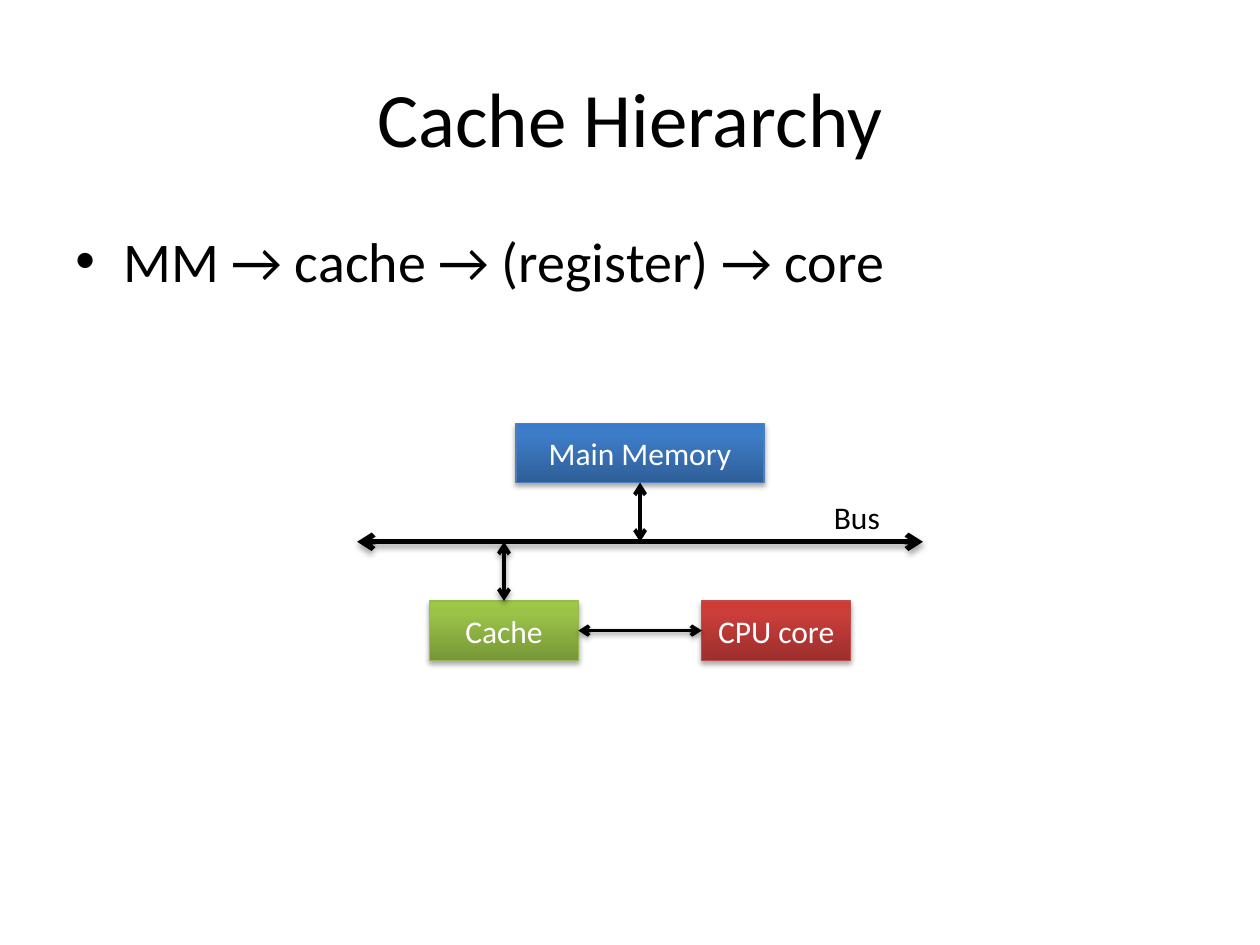
import dataclasses
from typing import Optional

import lxml.etree
import pptx
import pptx.dml.color
import pptx.enum.shapes
import pptx.enum.text
import pptx.oxml
import pptx.oxml.ns
import pptx.util

Inches = pptx.util.Inches
Pt = pptx.util.Pt
Align = pptx.enum.text.PP_ALIGN
Anchor = pptx.enum.text.MSO_ANCHOR
qn = pptx.oxml.ns.qn


@dataclasses.dataclass(frozen=True)
class Theme:
    font: str = "Calibri"
    ink: str = "000000"
    light: str = "FFFFFF"
    title_size: float = 44
    body_size: float = 32
    label_size: float = 18
    blue: tuple = ("2F5F99", "3D7CC7", "3A7CCB", "4B7EBC")
    green: tuple = ("779737", "9BC348", "9DC746", "98B955")
    red: tuple = ("9C2F2D", "CB3E3A", "CE3B37", "BF4C48")


@dataclasses.dataclass(frozen=True)
class Block:
    label: str
    center: float
    row: int
    width: float
    colors: tuple  # three gradient stops, then the outline


@dataclasses.dataclass(frozen=True)
class Arrow:
    start: tuple
    end: tuple
    weight: float
    shadow: Optional[tuple]  # opacity in percent, distance in points


THEME = Theme()
WIDTH, HEIGHT = 10, 7.5

# Diagram grid: columns are hundredths of the slide width, rows are box heights
COLUMN = WIDTH / 100
ROW, TOP = 0.47, 3.36
MEMORY_X, CACHE_X, CORE_X = 50.8, 40, 61.6
SMALL, LARGE, BUS_REACH = 11.8, 19.7, 22.45

BLOCKS = [
    Block("Main Memory", MEMORY_X, 0, LARGE, THEME.blue),
    Block("Cache", CACHE_X, 3, SMALL, THEME.green),
    Block("CPU core", CORE_X, 3, SMALL, THEME.red),
]
BUS = Arrow((MEMORY_X - BUS_REACH, 2), (MEMORY_X + BUS_REACH, 2), 3, (35, 1.8))
LINKS = [
    Arrow((MEMORY_X, 1), (MEMORY_X, 2), 2.25, None),
    Arrow((CACHE_X + SMALL / 2, 3.5), (CORE_X - SMALL / 2, 3.5), 2, (38, 1.6)),
    Arrow((CACHE_X, 3), (CACHE_X, 2), 2.25, (38, 1.6)),
]


def across(columns: float) -> int:
    return Inches(columns * COLUMN)


def down(rows: float) -> int:
    return Inches(TOP + rows * ROW)


def rgb(color: str) -> pptx.dml.color.RGBColor:
    return pptx.dml.color.RGBColor.from_string(color)


def write(shape, text: str, size: float, color: str, align, anchor, wrap: bool = True):
    frame = shape.text_frame
    frame.text = text
    frame.word_wrap = wrap
    frame.vertical_anchor = anchor
    para = frame.paragraphs[0]
    para.alignment = align
    font = para.runs[0].font
    font.name, font.size = THEME.font, Pt(size)
    font.color.rgb = rgb(color)
    return para


def set_shadow(properties, shadow: Optional[tuple]) -> None:
    for old in properties.findall(qn("a:effectLst")):
        properties.remove(old)
    effects = lxml.etree.SubElement(properties, qn("a:effectLst"))
    if shadow:
        opacity, distance = shadow
        outer = lxml.etree.SubElement(
            effects, qn("a:outerShdw"), blurRad=str(Pt(3.1)),
            dist=str(Pt(distance)), dir="5400000", rotWithShape="0")
        color = lxml.etree.SubElement(outer, qn("a:srgbClr"), val=THEME.ink)
        lxml.etree.SubElement(color, qn("a:alpha"), val=str(opacity * 1000))


def draw_block(shapes, block: Block) -> None:
    box = shapes.add_shape(
        pptx.enum.shapes.MSO_SHAPE.RECTANGLE, across(block.center - block.width / 2),
        down(block.row), across(block.width), Inches(ROW))
    box.shadow.inherit = False
    *stops, outline = block.colors
    box.fill.gradient()
    box.fill.gradient_angle = 90
    properties = box._element.spPr
    stop_list = properties.find(qn("a:gradFill")).find(qn("a:gsLst"))
    for old in list(stop_list):
        stop_list.remove(old)
    for position, color in zip((0, 80, 100), stops):
        stop = lxml.etree.SubElement(stop_list, qn("a:gs"), pos=str(position * 1000))
        lxml.etree.SubElement(stop, qn("a:srgbClr"), val=color)
    box.line.color.rgb = rgb(outline)
    box.line.width = Pt(0.75)
    set_shadow(properties, (35, 1.8))
    write(box, block.label, THEME.label_size, THEME.light, Align.CENTER, Anchor.MIDDLE)


def draw_arrow(shapes, arrow: Arrow) -> None:
    (x1, y1), (x2, y2) = arrow.start, arrow.end
    line = shapes.add_connector(
        pptx.enum.shapes.MSO_CONNECTOR.STRAIGHT, across(x1), down(y1), across(x2), down(y2))
    line.line.color.rgb = rgb(THEME.ink)
    line.line.width = Pt(arrow.weight)
    properties = line._element.spPr
    outline = properties.find(qn("a:ln"))
    for end in ("a:headEnd", "a:tailEnd"):
        lxml.etree.SubElement(outline, qn(end), type="arrow")
    set_shadow(properties, arrow.shadow)


def add_text(shapes, left: float, top: float, width: float, height: float):
    return shapes.add_textbox(Inches(left), Inches(top), Inches(width), Inches(height))


deck = pptx.Presentation()
deck.slide_width, deck.slide_height = Inches(WIDTH), Inches(HEIGHT)
page = deck.slides.add_slide(deck.slide_layouts[6])

# Title and bullet
title = add_text(page.shapes, 0.5, 0.3, 9, 1.25)
write(title, "Cache Hierarchy", THEME.title_size, THEME.ink, Align.CENTER, Anchor.MIDDLE)
body = add_text(page.shapes, 0.5, 1.75, 9, 4.95)
bullet = write(body, "MM → cache → (register) → core", THEME.body_size, THEME.ink,
               Align.LEFT, Anchor.TOP)
bullet.space_before = Pt(THEME.body_size * 0.2)
settings = bullet._p.get_or_add_pPr()
settings.set("marL", str(Inches(0.38)))
settings.set("indent", str(Inches(-0.38)))
lxml.etree.SubElement(settings, qn("a:buFont"), typeface="Arial")
lxml.etree.SubElement(settings, qn("a:buChar"), char="•")

# Diagram
diagram = page.shapes.add_group_shape().shapes
memory, *processors = BLOCKS
draw_block(diagram, memory)
draw_arrow(diagram, BUS)
for processor in processors:
    draw_block(diagram, processor)
for link in LINKS:
    draw_arrow(diagram, link)
bus_label = add_text(diagram, 6.52, 3.9, 0.57, 0.4)
write(bus_label, "Bus", THEME.label_size, THEME.ink, Align.LEFT, Anchor.TOP, wrap=False)
bus_label.text_frame.auto_size = pptx.enum.text.MSO_AUTO_SIZE.SHAPE_TO_FIT_TEXT

deck.save("out.pptx")
